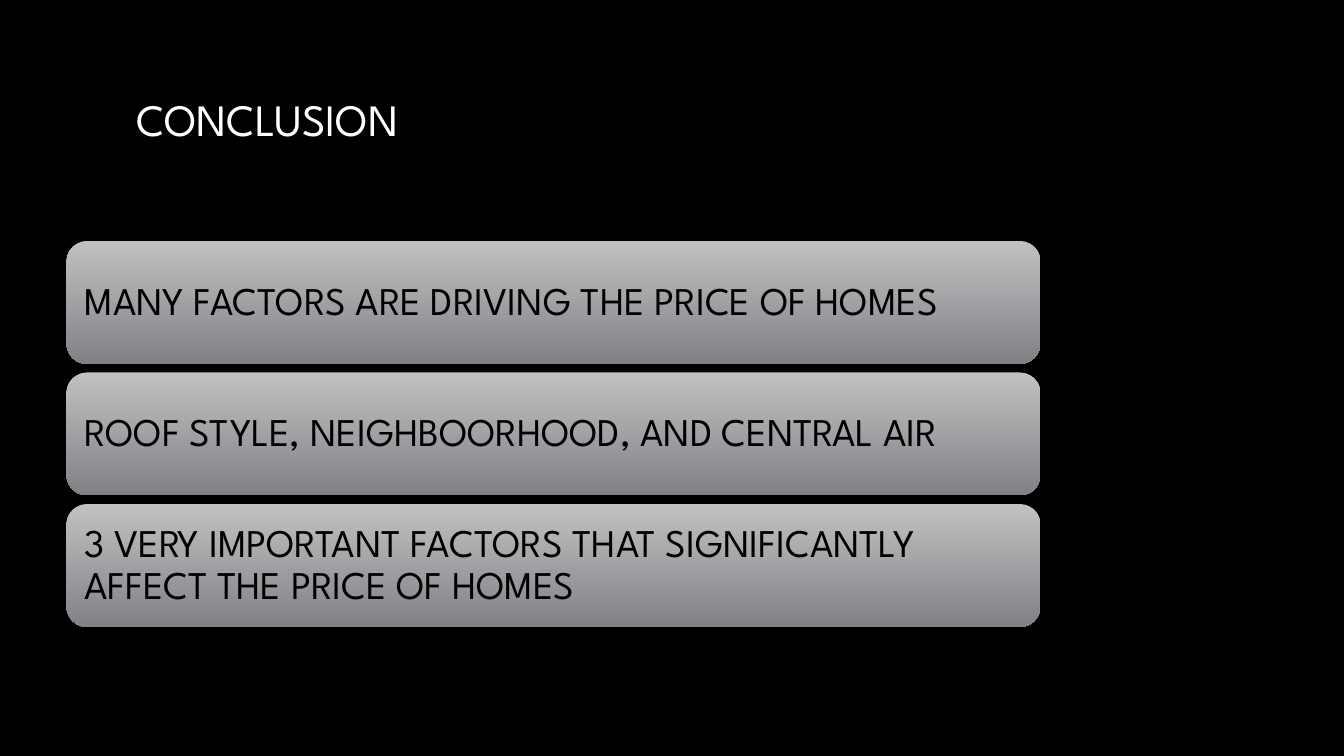
from pptx import Presentation
from pptx.dml.color import RGBColor as Rgb
from pptx.enum.shapes import MSO_SHAPE as Shape
from pptx.enum.text import MSO_ANCHOR as Anchor, MSO_AUTO_SIZE as Fit, PP_ALIGN as Align
from pptx.util import Inches, Pt

theme = {
    "font": "League Spartan",
    "back": Rgb.from_string("000000"),
    "title": Rgb.from_string("FFFFFF"),
    "text": Rgb.from_string("000000"),
    "card": [Rgb.from_string("C0C1C2"), Rgb.from_string("808285")],
    "title_size": Pt(32),
    "card_size": Pt(28),
}
points = [
    "MANY FACTORS ARE DRIVING THE PRICE OF HOMES",
    "ROOF STYLE, NEIGHBOORHOOD, AND CENTRAL AIR",
    "3 VERY IMPORTANT FACTORS THAT SIGNIFICANTLY AFFECT THE PRICE OF HOMES",
]


def write(frame, text, size, color):
    """Fill a frame with one left-aligned, middle-anchored paragraph."""
    frame.text = text
    frame.word_wrap = True
    frame.auto_size = Fit.NONE
    frame.vertical_anchor = Anchor.MIDDLE
    para = frame.paragraphs[0]
    para.alignment = Align.LEFT
    para.line_spacing = 0.9
    font = para.runs[0].font
    font.name, font.size = theme["font"], size
    font.color.rgb = color


# Slide
deck = Presentation()
deck.slide_width, deck.slide_height = Inches(13.33), Inches(7.5)
slide = deck.slides.add_slide(deck.slide_layouts[5])
slide.background.fill.solid()
slide.background.fill.fore_color.rgb = theme["back"]

# Title, lifted above the middle of its box by the bottom inset
title = slide.shapes.title
title.left, title.top = Inches(1.25), Inches(0.67)
title.width, title.height = Inches(10.83), Inches(2.08)
write(title.text_frame, "CONCLUSION", theme["title_size"], theme["title"])
title.text_frame.margin_bottom = Inches(1.05)

# Cards: one column, equal rows
left, top, wide, high = Inches(0.66), Inches(2.39), Inches(9.66), Inches(1.22)
step = (Inches(5) - top) // 2
for row, point in enumerate(points):
    card = slide.shapes.add_shape(Shape.ROUNDED_RECTANGLE, left, top + row * step, wide, high)
    card.shadow.inherit = False
    card.line.fill.background()
    card.fill.gradient()
    card.fill.gradient_angle = 270
    for stop, color in zip(card.fill.gradient_stops, theme["card"]):
        stop.color.rgb = color
    frame = card.text_frame
    frame.margin_left = frame.margin_right = Inches(0.12)
    frame.margin_top = frame.margin_bottom = Inches(0.12)
    write(frame, point, theme["card_size"], theme["text"])

deck.save("out.pptx")
